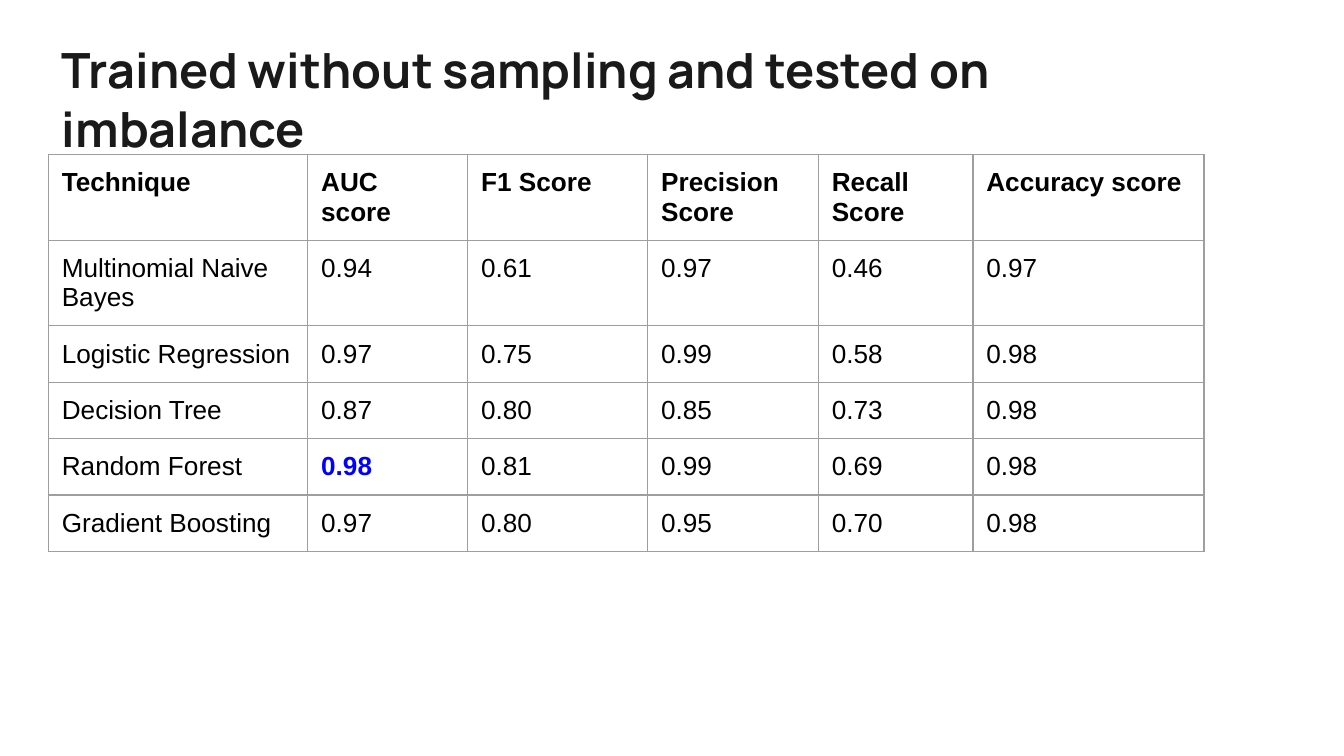
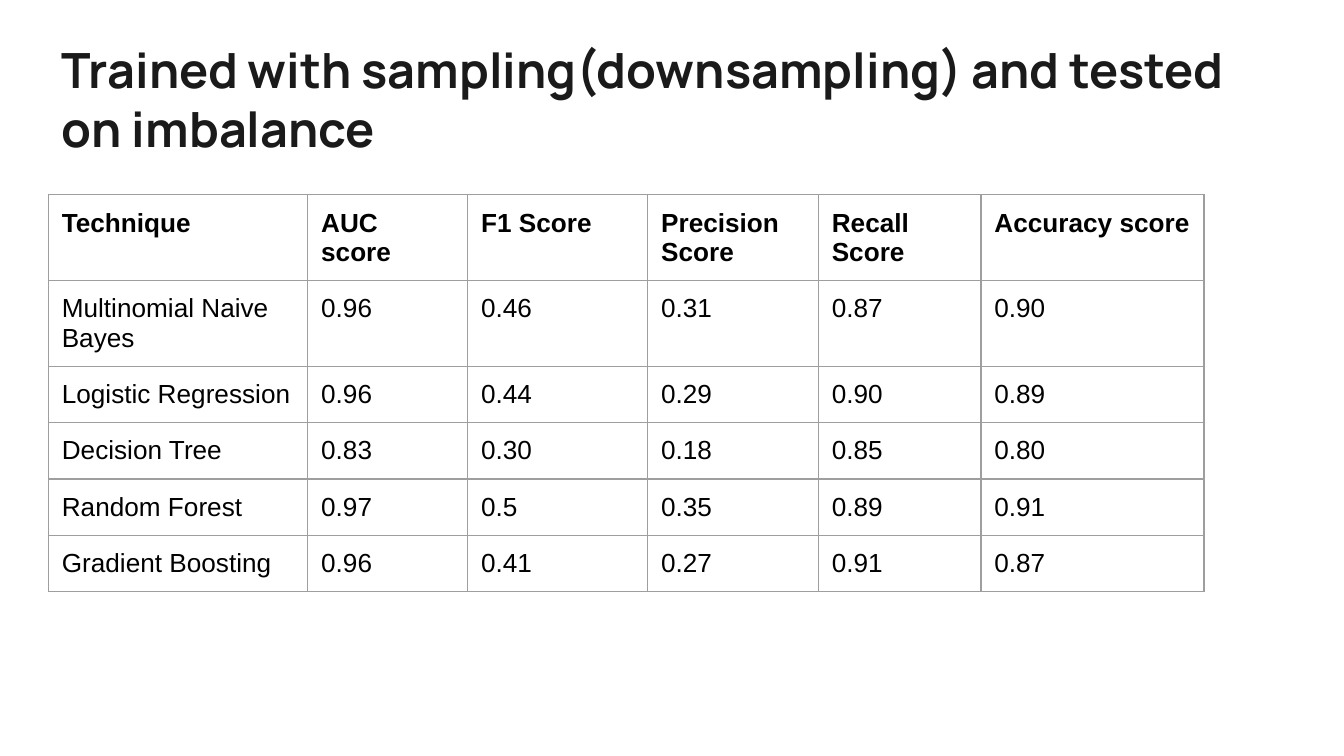
from pptx import Presentation
from pptx.dml.color import RGBColor
from pptx.enum.text import MSO_ANCHOR, MSO_AUTO_SIZE, PP_ALIGN
from pptx.oxml.ns import qn
from pptx.util import Inches, Pt
from lxml.etree import SubElement

TITLE_COLOR = RGBColor(0x1A, 0x1A, 0x1A)
TEXT_COLOR = RGBColor(0, 0, 0)
BEST_COLOR = RGBColor(0, 0, 0xFF)
BORDER_COLOR = RGBColor(0x9E, 0x9E, 0x9E)
TITLE_FONT, TABLE_FONT = "Manrope", "Arial"
PAGE_WIDTH = Inches(10)
PAGE_HEIGHT = PAGE_WIDTH * 9 // 16
INSET = Inches(0.1)
TITLE_BOX = (0.36, 0.2, 8.98, 0.51)
ROW_HEIGHT = 0.42

HEADINGS = ("Technique", "AUC score", "F1 Score", "Precision\nScore", "Recall\nScore", "Accuracy score")
TECHNIQUES = ("Multinomial Naive Bayes", "Logistic Regression", "Decision Tree", "Random Forest", "Gradient Boosting")
SHARED_WIDTHS = (1.93, 1.19, 1.34, 1.27)

RESULTS = (
    {
        "title": "Trained without sampling and tested on imbalance",
        "corner": (0.36, 1.15),
        "widths": SHARED_WIDTHS + (1.15, 1.72),
        "scores": (
            ("0.94", "0.61", "0.97", "0.46", "0.97"),
            ("0.97", "0.75", "0.99", "0.58", "0.98"),
            ("0.87", "0.80", "0.85", "0.73", "0.98"),
            ("0.98", "0.81", "0.99", "0.69", "0.98"),
            ("0.97", "0.80", "0.95", "0.70", "0.98"),
        ),
        "best": (4, 1),
    },
    {
        "title": "Trained with sampling(downsampling) and tested on imbalance",
        "corner": (0.36, 1.45),
        "widths": SHARED_WIDTHS + (1.21, 1.66),
        "scores": (
            ("0.96", "0.46", "0.31", "0.87", "0.90"),
            ("0.96", "0.44", "0.29", "0.90", "0.89"),
            ("0.83", "0.30", "0.18", "0.85", "0.80"),
            ("0.97", "0.5", "0.35", "0.89", "0.91"),
            ("0.96", "0.41", "0.27", "0.91", "0.87"),
        ),
        "best": None,
    },
)


def format_text(frame, font, size, color, bold):
    for para in frame.paragraphs:
        para.alignment = PP_ALIGN.LEFT
        for span in para.runs:
            span.font.name = font
            span.font.size = Pt(size)
            span.font.color.rgb = color
            span.font.bold = bold


def set_insets(target):
    target.margin_left = target.margin_right = INSET
    target.margin_top = target.margin_bottom = INSET
    target.vertical_anchor = MSO_ANCHOR.TOP


def add_borders(cell):
    properties = cell._tc.get_or_add_tcPr()
    for position, side in enumerate(("a:lnL", "a:lnR", "a:lnT", "a:lnB")):
        line = SubElement(properties, qn(side), w=str(Pt(0.75)))
        fill = SubElement(line, qn("a:solidFill"))
        SubElement(fill, qn("a:srgbClr"), val=str(BORDER_COLOR))
        properties.insert(position, line)


def place_title(page, text, box):
    title = page.shapes.title
    title.left, title.top, title.width, title.height = map(Inches, box)
    frame = title.text_frame
    frame.text = text
    frame.word_wrap = True
    frame.auto_size = MSO_AUTO_SIZE.NONE
    set_insets(frame)
    format_text(frame, TITLE_FONT, 26, TITLE_COLOR, True)


def add_score_table(page, corner, widths, scores, best):
    rows = [HEADINGS] + [(name, *values) for name, values in zip(TECHNIQUES, scores)]
    left, top = corner
    table = page.shapes.add_table(
        len(rows), len(widths), Inches(left), Inches(top),
        Inches(sum(widths)), Inches(ROW_HEIGHT * len(rows)),
    ).table
    table.first_row = table.horz_banding = False
    for column, width in zip(table.columns, widths):
        column.width = Inches(width)
    for row_number, values in enumerate(rows):
        table.rows[row_number].height = Inches(ROW_HEIGHT)
        for column_number, value in enumerate(values):
            cell = table.cell(row_number, column_number)
            is_best = (row_number, column_number) == best
            cell.text_frame.text = value
            cell.fill.background()
            set_insets(cell)
            add_borders(cell)
            color = BEST_COLOR if is_best else TEXT_COLOR
            format_text(cell.text_frame, TABLE_FONT, 14, color, row_number == 0 or is_best)


def add_results_page(deck, result):
    page = deck.slides.add_slide(deck.slide_layouts[5])
    place_title(page, result["title"], TITLE_BOX)
    add_score_table(page, result["corner"], result["widths"], result["scores"], result["best"])


def main():
    deck = Presentation()
    deck.slide_width, deck.slide_height = PAGE_WIDTH, PAGE_HEIGHT
    for result in RESULTS:
        add_results_page(deck, result)
    deck.save("out.pptx")


if __name__ == "__main__":
    main()
